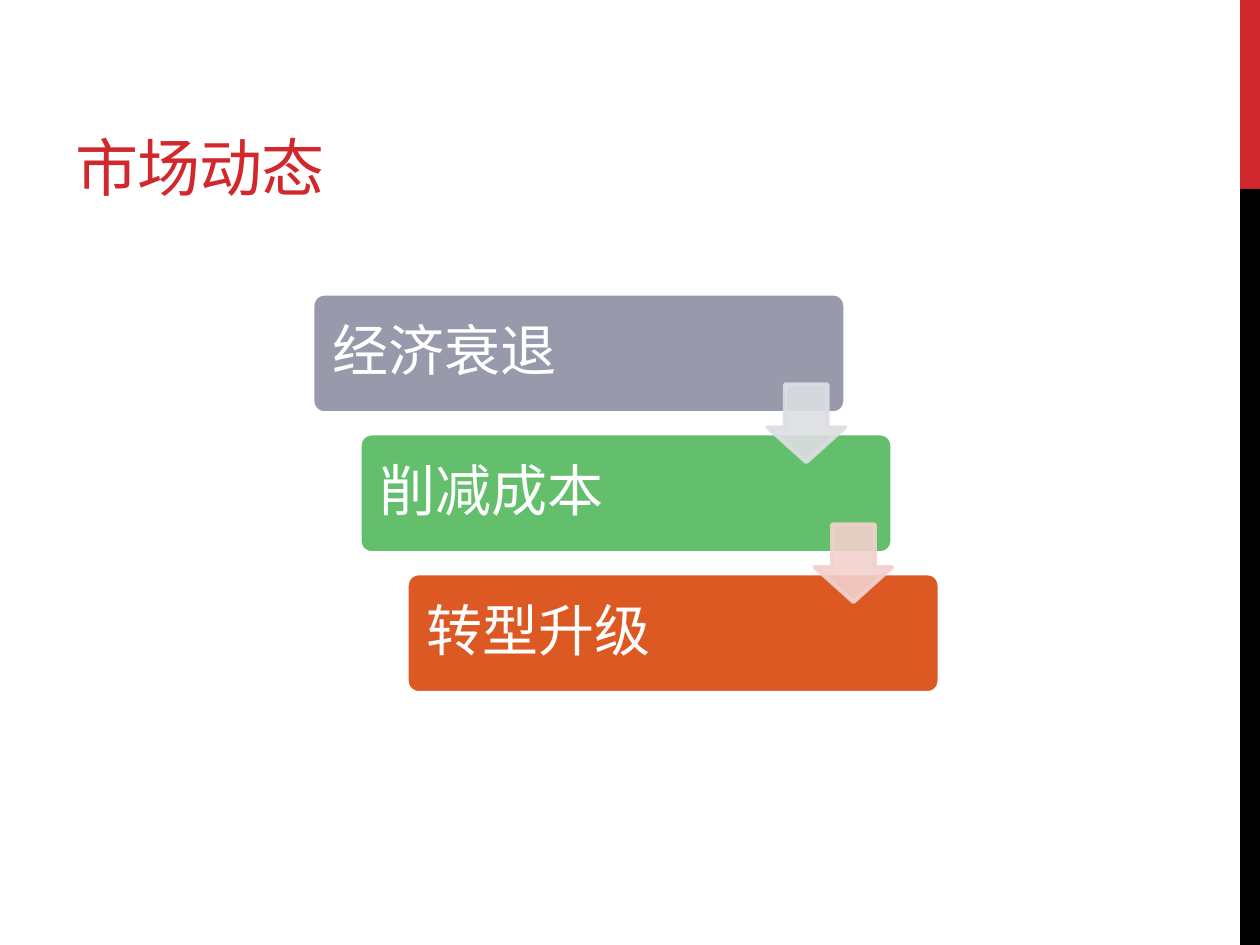
from lxml.etree import SubElement
from pptx import Presentation
from pptx.dml.color import RGBColor
from pptx.enum.shapes import MSO_SHAPE
from pptx.enum.text import MSO_ANCHOR, PP_ALIGN
from pptx.oxml.ns import qn
from pptx.util import Cm, Pt

RED = "D1282E"
WHITE = "FFFFFF"
STEPS = [("经济衰退", "989AAC"), ("削减成本", "63BF6C"), ("转型升级", "DC5924")]
ARROW_COLOURS = ["DDDEE3", "F2D1CC"]


def colour(value):
    return RGBColor.from_string(value)


def set_format(target, values):
    for name, value in values.items():
        setattr(target, name, value)


def add_block(page, kind, box, fill, line=None, adjustments=()):
    block = page.shapes.add_shape(kind, *map(Cm, box))
    block.shadow.inherit = False
    block.fill.solid()
    block.fill.fore_color.rgb = colour(fill)
    if line:
        block.line.color.rgb = colour(line)
        block.line.width = Pt(2.25)
    else:
        block.line.fill.background()
    for index, value in enumerate(adjustments):
        block.adjustments[index] = value
    return block


def write_text(shape, text, frame_format, para_format, font_format, font_colour):
    frame = shape.text_frame
    set_format(frame, {"word_wrap": True} | frame_format)
    para = frame.paragraphs[0]
    set_format(para, {"alignment": PP_ALIGN.LEFT} | para_format)
    span = para.add_run()
    span.text = text
    set_format(span.font, font_format)
    span.font.color.rgb = colour(font_colour)
    return span


def set_opacity(shape, percent):
    for fill in shape.element.spPr.iter(qn("a:srgbClr")):
        SubElement(fill, qn("a:alpha")).set("val", str(percent * 1000))


def add_sidebar(page, box):
    left, top, width, height = box
    accent = height / 5
    add_block(page, MSO_SHAPE.RECTANGLE, (left, top, width, accent), RED)
    add_block(page, MSO_SHAPE.RECTANGLE, (left, top + accent, width, height - accent), "000000")


def add_title(page, box):
    title = page.shapes.add_textbox(*map(Cm, box))
    span = write_text(title, "市场动态", {"vertical_anchor": MSO_ANCHOR.BOTTOM}, {},
                      {"size": Pt(36), "name": "Montserrat"}, RED)
    span.font._element.set("spc", "-60")


def add_staircase(page, box):
    left, top, width, height = box
    step_width, step_height, arrow_size = 10.74, 2.41, 1.57
    across = (width - step_width) / (len(STEPS) - 1)
    down = (height - step_height) / (len(STEPS) - 1)
    margins = {f"margin_{side}": Cm(0.33) for side in ("left", "top", "right", "bottom")}

    for index, (text, fill) in enumerate(STEPS):
        step_box = (left + index * across, top + index * down, step_width, step_height)
        step = add_block(page, MSO_SHAPE.ROUNDED_RECTANGLE, step_box, fill, WHITE, [0.1])
        write_text(step, text, {"vertical_anchor": MSO_ANCHOR.MIDDLE} | margins,
                   {"line_spacing": 0.9}, {"size": Pt(32), "name": "Arial"}, WHITE)

    for index, fill in enumerate(ARROW_COLOURS):
        arrow_left = left + index * across + step_width - arrow_size
        arrow_top = top + index * down + 1.83
        arrow = add_block(page, MSO_SHAPE.DOWN_ARROW,
                          (arrow_left, arrow_top, arrow_size, arrow_size),
                          fill, fill, [0.55, 0.45])
        set_opacity(arrow, 90)


def main():
    deck = Presentation()
    set_format(deck, {"slide_width": Cm(25.4), "slide_height": Cm(19.05)})
    page = deck.slides.add_slide(deck.slide_layouts[6])
    add_sidebar(page, (25, 0, 0.4, 19.05))
    add_title(page, (1.27, 0.43, 16.08, 3.81))
    add_staircase(page, (6.3, 5.92, 12.64, 8.05))
    deck.save("out.pptx")


if __name__ == "__main__":
    main()
